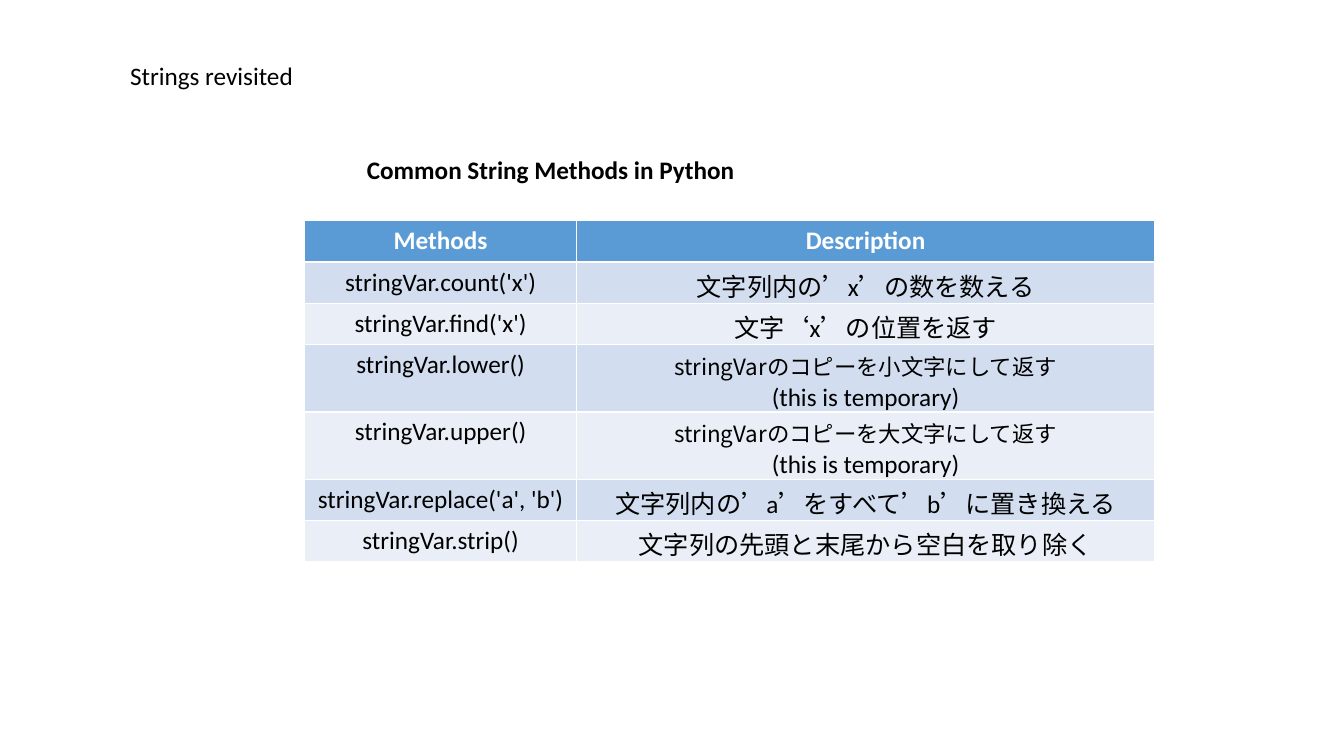
from lxml.etree import SubElement
from pptx import Presentation
from pptx.dml.color import RGBColor
from pptx.enum.text import MSO_ANCHOR, MSO_AUTO_SIZE, PP_ALIGN
from pptx.oxml.ns import qn
from pptx.util import Inches, Pt

LATIN, JAPANESE = "Calibri", "Noto Sans CJK JP"
BLACK, WHITE = "000000", "FFFFFF"
HEADER_FILL, BAND_FILLS = "5B9BD5", ("D2DEEF", "EAEFF7")

TITLE = "Strings revisited"
CAPTION = "Common String Methods in Python"
HEADINGS = ("Methods", "Description")
METHODS = [
    ("stringVar.count('x')", "文字列内の’x’の数を数える"),
    ("stringVar.find('x')", "文字‘x’の位置を返す"),
    ("stringVar.lower()", "stringVarのコピーを小文字にして返す\n(this is temporary)"),
    ("stringVar.upper()", "stringVarのコピーを大文字にして返す\n(this is temporary)"),
    ("stringVar.replace('a', 'b')", "文字列内の’a’をすべて’b’に置き換える"),
    ("stringVar.strip()", "文字列の先頭と末尾から空白を取り除く"),
]
COLUMN_WIDTHS = (2.7, 5.73)
ROW_HEIGHT = 0.41


def rgb(hex_code):
    """Turn a hex string into a colour."""
    return RGBColor.from_string(hex_code)


def style(paragraph, align, color=BLACK, bold=False, size=18, latin=LATIN):
    """Format a paragraph, with the Japanese font for East Asian text."""
    paragraph.alignment = align
    font = paragraph.font
    font.name, font.size, font.bold = latin, Pt(size), bold
    font.color.rgb = rgb(color)
    for run in paragraph.runs:
        run.font.name, run.font.size, run.font.bold = latin, Pt(size), bold
        run.font.color.rgb = rgb(color)
        SubElement(run.font._element, qn("a:ea"), typeface=JAPANESE)


def fill_heading(shape, text, left, top, width, bold=False):
    """Place a one-line heading that does not wrap."""
    shape.left, shape.top = Inches(left), Inches(top)
    shape.width, shape.height = Inches(width), Inches(0.4)
    frame = shape.text_frame
    frame.text = text
    frame.word_wrap = False
    frame.auto_size = MSO_AUTO_SIZE.SHAPE_TO_FIT_TEXT
    frame.vertical_anchor = MSO_ANCHOR.TOP
    style(frame.paragraphs[0], PP_ALIGN.LEFT, bold=bold)


def fill_cell(cell, text, fill, color=BLACK, bold=False):
    """Write a centred cell; lines opening with the variable are smaller."""
    cell.fill.solid()
    cell.fill.fore_color.rgb = rgb(fill)
    cell.text = text
    for paragraph in cell.text_frame.paragraphs:
        if paragraph.text.startswith("stringVarの"):
            style(paragraph, PP_ALIGN.CENTER, size=16, latin=JAPANESE)
        else:
            style(paragraph, PP_ALIGN.CENTER, color, bold)


prs = Presentation()
prs.slide_width, prs.slide_height = Inches(13.33), Inches(7.5)
slide = prs.slides.add_slide(prs.slide_layouts[5])

fill_heading(slide.shapes.title, TITLE, 1.19, 0.55, 1.83)
caption = slide.shapes.add_textbox(0, 0, 0, 0)
fill_heading(caption, CAPTION, 3.54, 1.48, 3.88, bold=True)

row_count = len(METHODS) + 1
methods_table = slide.shapes.add_table(
    row_count, len(HEADINGS), Inches(3.02), Inches(2.19),
    Inches(sum(COLUMN_WIDTHS)), Inches(ROW_HEIGHT * row_count)).table
for column, width in zip(methods_table.columns, COLUMN_WIDTHS):
    column.width = Inches(width)
for row in methods_table.rows:
    row.height = Inches(ROW_HEIGHT)

for col, heading in enumerate(HEADINGS):
    fill_cell(methods_table.cell(0, col), heading, HEADER_FILL, WHITE, True)
for index, method in enumerate(METHODS):
    for col, text in enumerate(method):
        fill_cell(methods_table.cell(index + 1, col), text, BAND_FILLS[index % 2])

prs.save("out.pptx")
